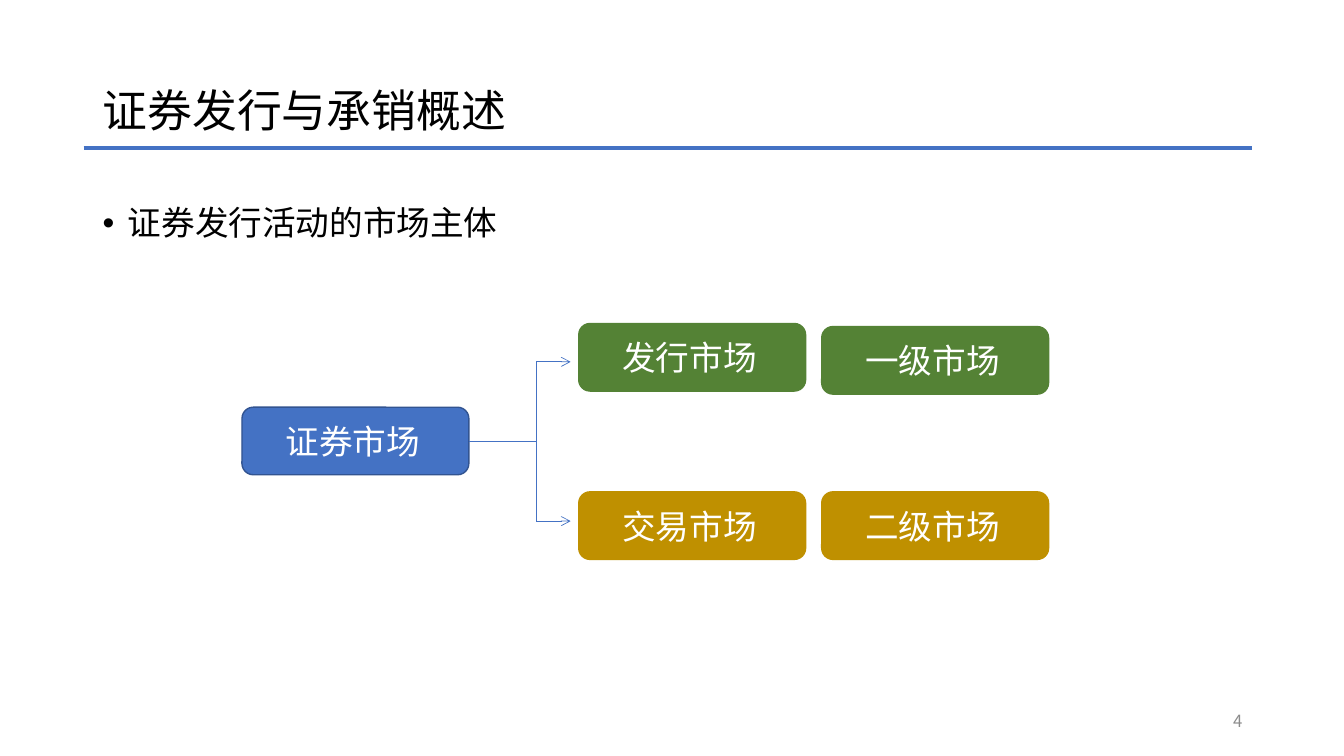
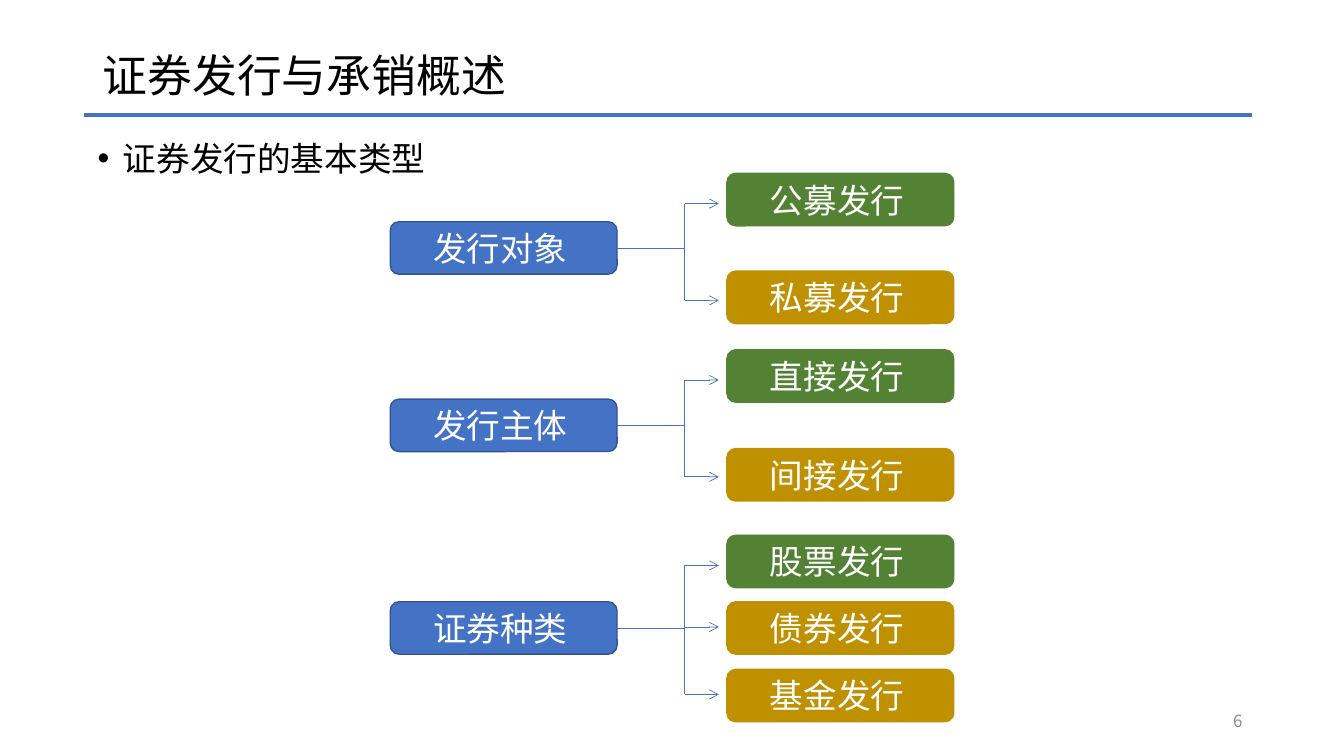
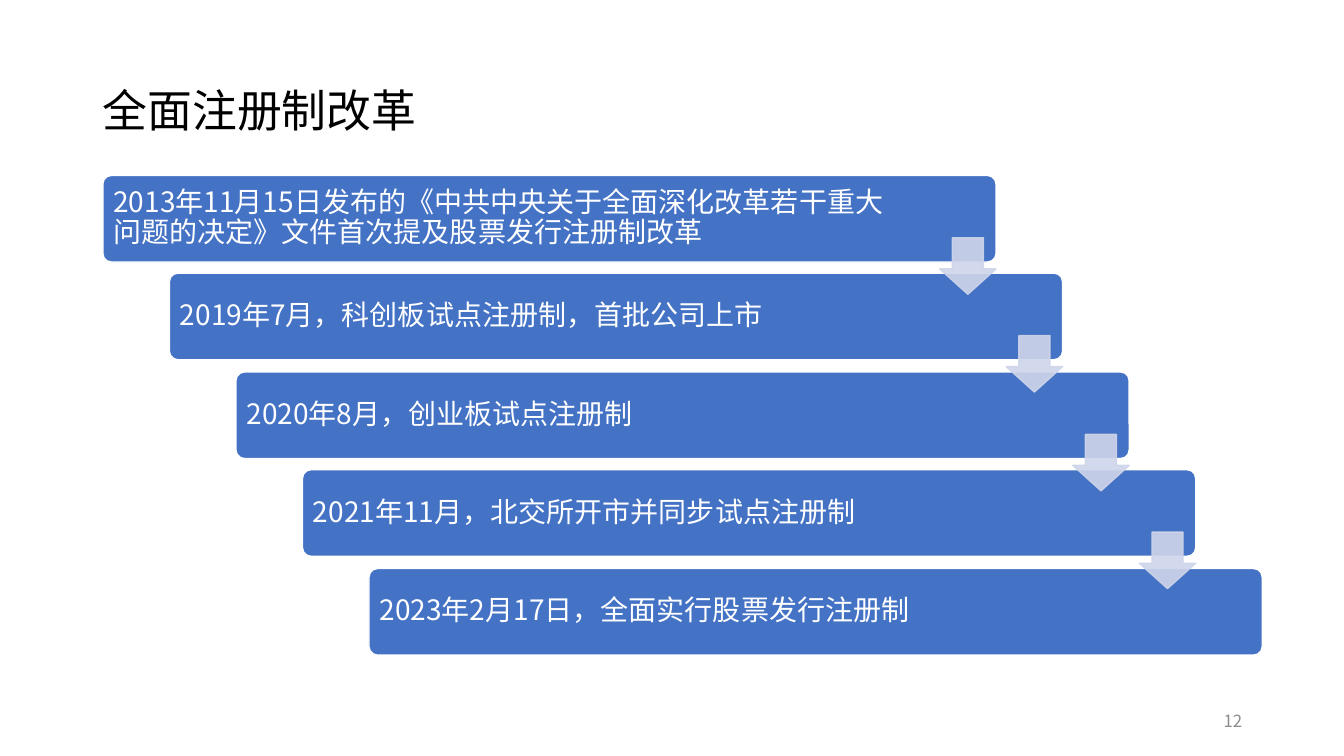
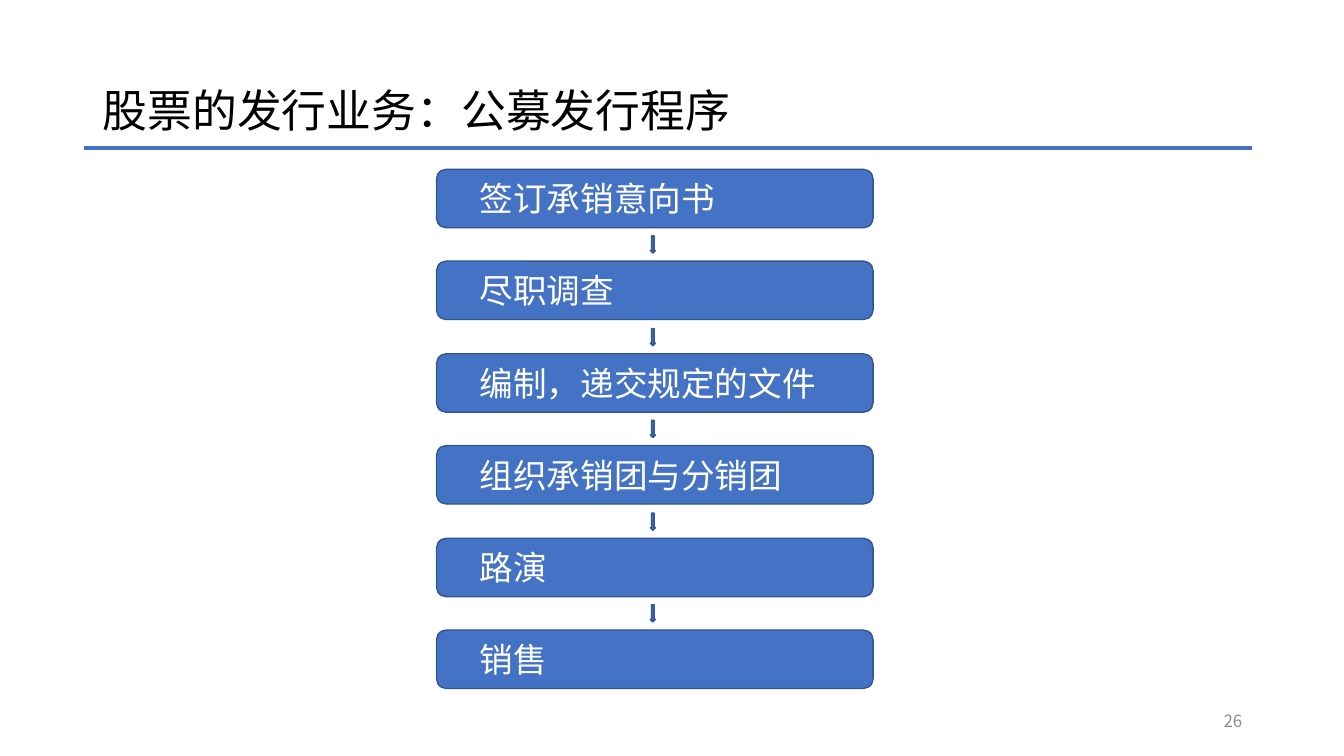
from dataclasses import dataclass
from typing import Any, Optional

from pptx import Presentation
from pptx import util as u
from pptx.dml.color import RGBColor
from pptx.enum import shapes, text
from pptx.oxml.ns import qn
from lxml import etree

PX = 9144  # EMU per px: 100 px to the inch


@dataclass(frozen=True)
class Theme:
    font: str = "Noto Sans CJK SC"
    ink: str = "000000"
    white: str = "FFFFFF"
    grey: str = "8C8C8C"
    blue: str = "4472C4"
    navy: str = "325491"
    green: str = "548235"
    gold: str = "BF9000"
    pale: str = "CFD5EA"
    title: int = 32
    body: int = 24
    step: int = 20
    number: int = 12


T = Theme()


@dataclass(frozen=True)
class Rect:
    x: int
    y: int
    w: int
    h: int


@dataclass(frozen=True)
class Leaf:
    label: str
    y: int
    arrow_y: int
    color: str


@dataclass(frozen=True)
class Tree:
    label: str
    x: int
    y: int
    h: int
    leaves: tuple[Leaf, ...]


BOX_W = 225        # every box of a tree
STEM = 67          # root to spine
BRANCH = 34        # spine to arrow tip
LEAF_OFFSET = 334  # root left edge to leaf left edge
BOX_INSET = 40


def px(n: float) -> u.Emu:
    return u.Emu(round(n * PX))


def write(tf: Any, words: str, *, size: int, color: str = T.white,
          align: Any = text.PP_ALIGN.LEFT, anchor: Any = text.MSO_ANCHOR.MIDDLE,
          insets: tuple[int, int, int, int] = (10, 5, 10, 5),
          spacing: Optional[float] = None, bullet: bool = False) -> None:
    """Fill a text frame with one formatted paragraph."""
    tf.word_wrap = True
    tf.vertical_anchor = anchor
    tf.margin_left, tf.margin_top, tf.margin_right, tf.margin_bottom = map(px, insets)
    p = tf.paragraphs[0]
    p.alignment = align
    if spacing:
        p.line_spacing = spacing
    if bullet:
        pPr = p._p.get_or_add_pPr()
        pPr.set("marL", str(px(25)))
        pPr.set("indent", str(px(-25)))
        etree.SubElement(pPr, qn("a:buFont")).set("typeface", "Arial")
        etree.SubElement(pPr, qn("a:buChar")).set("char", "•")
    r = p.add_run()
    r.text = words
    r.font.size = u.Pt(size)
    r.font.color.rgb = RGBColor.from_string(color)
    r.font.name = T.font
    etree.SubElement(r._r.get_or_add_rPr(), qn("a:ea")).set("typeface", T.font)


def add_text(s: Any, box: Rect, words: str, **fmt: Any) -> None:
    tb = s.shapes.add_textbox(px(box.x), px(box.y), px(box.w), px(box.h))
    write(tb.text_frame, words, **fmt)


def add_shape(s: Any, kind: Any, box: Rect, fill: str, line: str,
              adjust: tuple[float, ...] = (), alpha: Optional[int] = None) -> Any:
    sp = s.shapes.add_shape(kind, px(box.x), px(box.y), px(box.w), px(box.h))
    sp.shadow.inherit = False
    sp.fill.solid()
    sp.fill.fore_color.rgb = RGBColor.from_string(fill)
    sp.line.color.rgb = RGBColor.from_string(line)
    sp.line.width = u.Pt(1)
    for i, value in enumerate(adjust):
        sp.adjustments[i] = value
    if alpha is not None:
        for clr in sp._element.spPr.iter(qn("a:srgbClr")):
            etree.SubElement(clr, qn("a:alpha")).set("val", str(alpha * 1000))
    return sp


def add_box(s: Any, box: Rect, label: str, fill: str, line: str) -> None:
    sp = add_shape(s, shapes.MSO_SHAPE.ROUNDED_RECTANGLE, box, fill, line)
    write(sp.text_frame, label, size=T.body, insets=(BOX_INSET, 0, 0, 0))


def add_line(s: Any, x1: float, y1: float, x2: float, y2: float,
             width: float = 0.5, arrow: bool = False) -> None:
    cn = s.shapes.add_connector(shapes.MSO_CONNECTOR.STRAIGHT,
                                px(x1), px(y1), px(x2), px(y2))
    cn.line.color.rgb = RGBColor.from_string(T.blue)
    cn.line.width = u.Pt(width)
    if arrow:
        etree.SubElement(cn.line._get_or_add_ln(), qn("a:tailEnd")).set("type", "arrow")
    etree.SubElement(cn._element.spPr, qn("a:effectLst"))


def add_tree(s: Any, tree: Tree) -> None:
    """Root box, bracket with arrows, and leaf boxes."""
    add_box(s, Rect(tree.x, tree.y, BOX_W, tree.h), tree.label, T.blue, T.navy)
    root_right, mid = tree.x + BOX_W, tree.y + tree.h / 2
    spine = root_right + STEM
    add_line(s, root_right, mid, spine, mid)
    add_line(s, spine, tree.leaves[0].arrow_y, spine, tree.leaves[-1].arrow_y)
    for leaf in tree.leaves:
        add_line(s, spine, leaf.arrow_y, spine + BRANCH, leaf.arrow_y, arrow=True)
        add_box(s, Rect(tree.x + LEAF_OFFSET, leaf.y, BOX_W, tree.h),
                leaf.label, leaf.color, leaf.color)


def add_page(prs: Any, title: str, number: int, title_h: int = 145,
             rule_y: Optional[int] = 147) -> Any:
    """Blank slide with the shared title, rule and slide number."""
    s = prs.slides.add_slide(prs.slide_layouts[6])
    add_text(s, Rect(92, 40, 1150, title_h), title, size=T.title, color=T.ink, spacing=0.9)
    if rule_y is not None:
        add_line(s, 83, rule_y, 1242, rule_y, width=3)
    add_text(s, Rect(942, 695, 300, 40), str(number), size=T.number, color=T.grey,
             align=text.PP_ALIGN.RIGHT)
    return s


def add_bullet(s: Any, x: int, y: int, words: str) -> None:
    add_text(s, Rect(x, y, 1150, 476), words, size=T.body, color=T.ink,
             anchor=text.MSO_ANCHOR.TOP, spacing=0.9, bullet=True)


def market_slide(prs: Any) -> None:
    s = add_page(prs, "证券发行与承销概述", 4)
    add_bullet(s, 92, 200, "证券发行活动的市场主体")
    add_tree(s, Tree("证券市场", 240, 404, 67, (
        Leaf("发行市场", 321, 359, T.green),
        Leaf("交易市场", 488, 517, T.gold))))
    # Market tiers beside the leaves
    for label, y, color in (("一级市场", 324, T.green), ("二级市场", 488, T.gold)):
        add_box(s, Rect(815, y, BOX_W, 67), label, color, color)


def types_slide(prs: Any) -> None:
    s = add_page(prs, "证券发行与承销概述", 6, title_h=75, rule_y=114)
    add_bullet(s, 87, 136, "证券发行的基本类型")
    trees = (
        ("发行对象", 220, (Leaf("公募发行", 172, 202, T.green),
                       Leaf("私募发行", 269, 298, T.gold))),
        ("发行主体", 396, (Leaf("直接发行", 347, 377, T.green),
                       Leaf("间接发行", 445, 473, T.gold))),
        ("证券种类", 597, (Leaf("股票发行", 531, 561, T.green),
                       Leaf("债券发行", 597, 622, T.gold),
                       Leaf("基金发行", 664, 689, T.gold))),
    )
    for label, y, leaves in trees:
        add_tree(s, Tree(label, 387, y, 52, leaves))


def reform_slide(prs: Any) -> None:
    s = add_page(prs, "全面注册制改革", 12, rule_y=None)
    milestones = (
        "2013年11月15日发布的《中共中央关于全面深化改革若干重大问题的决定》文件首次提及股票发行注册制改革",
        "2019年7月，科创板试点注册制，首批公司上市",
        "2020年8月，创业板试点注册制",
        "2021年11月，北交所开市并同步试点注册制",
        "2023年2月17日，全面实行股票发行注册制",
    )
    offsets = [(66 * i, 195 * i // 2) for i in range(len(milestones))]
    # Staircase of bars
    for words, (dx, dy) in zip(milestones, offsets):
        sp = add_shape(s, shapes.MSO_SHAPE.ROUNDED_RECTANGLE,
                       Rect(102 + dx, 174 + dy, 886, 86), T.blue, T.white, adjust=(0.1,))
        write(sp.text_frame, words, size=T.step, insets=(8, 5, 107, 5), spacing=0.9)
    # Arrows from each bar to the next
    for dx, dy in offsets[:-1]:
        add_shape(s, shapes.MSO_SHAPE.DOWN_ARROW, Rect(932 + dx, 236 + dy, 56, 56),
                  T.pale, T.pale, adjust=(0.55, 0.45), alpha=90)


def procedure_slide(prs: Any) -> None:
    s = add_page(prs, "股票的发行业务：公募发行程序", 26)
    steps = ("签订承销意向书", "尽职调查", "编制，递交规定的文件",
             "组织承销团与分销团", "路演", "销售")
    for i, label in enumerate(steps):
        y = 168 + 183 * i // 2
        if i:
            add_shape(s, shapes.MSO_SHAPE.DOWN_ARROW, Rect(645, y - 25, 5, 17),
                      T.blue, T.navy)
        add_box(s, Rect(433, y, 433, 58), label, T.blue, T.navy)


def main() -> None:
    prs = Presentation()
    prs.slide_width, prs.slide_height = px(1333), px(750)
    for build in (market_slide, types_slide, reform_slide, procedure_slide):
        build(prs)
    prs.save("out.pptx")


if __name__ == "__main__":
    main()
